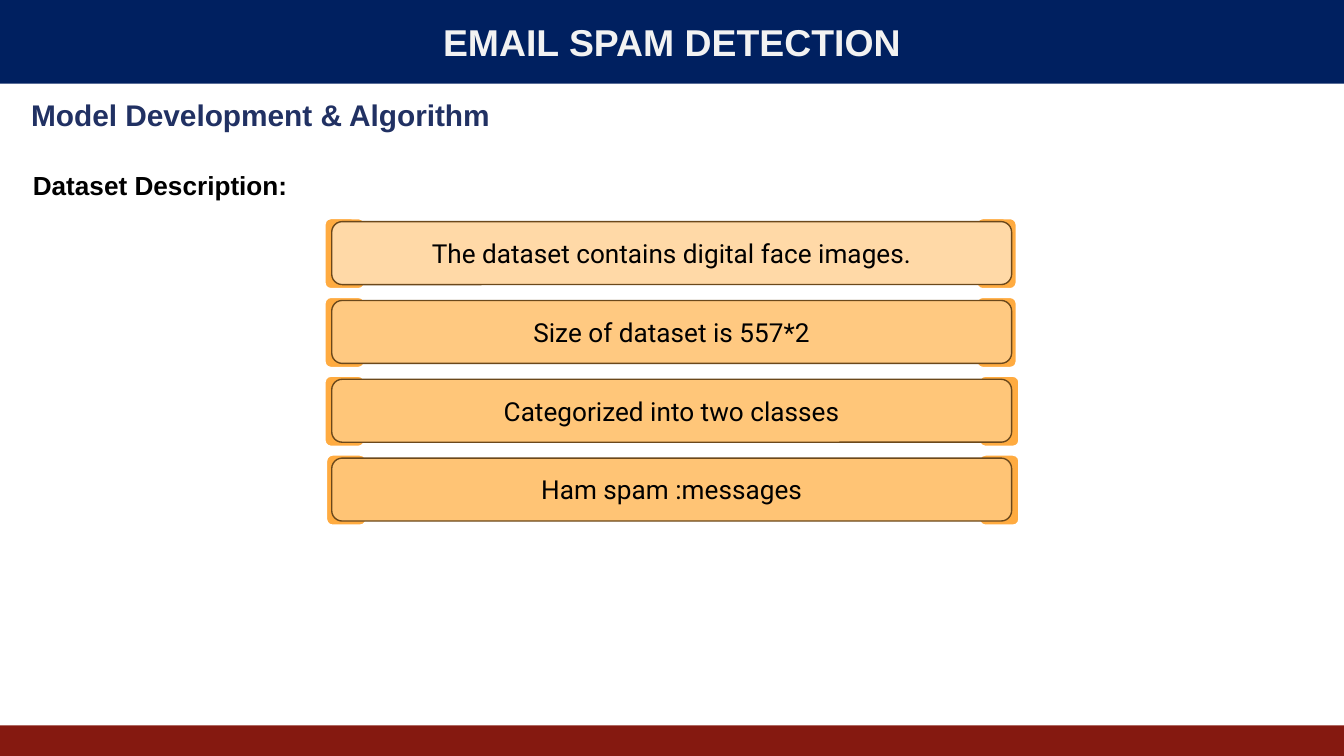
"""Build the dataset description slide of an email spam detection deck."""
from dataclasses import dataclass

from pptx import Presentation
from pptx import util as u
from pptx.dml.color import RGBColor
from pptx.enum import shapes, text

WIDTH, HEIGHT = 25.4, 14.29
BAR_TOP, TAB_TOP, PITCH = 4.19, 4.11, 1.49


@dataclass
class Fact:
    """A bar with its wording, fill and the left edges of its two tabs."""
    words: str
    fill: str
    tabs: tuple[float, float]


FACTS = [
    Fact("The dataset contains digital face images.", "FFD9A7", (6.12, 18.44)),
    Fact("Size of dataset is 557*2", "FFC981", (6.12, 18.44)),
    Fact("Categorized into two classes", "FFC679", (6.12, 18.49)),
    Fact("Ham spam :messages", "FFC475", (6.15, 18.49)),
]


def rgb(value: str) -> RGBColor:
    """Turn a hex string into a colour."""
    return RGBColor.from_string(value)


def paint(sp, fill: str) -> None:
    """Give a shape a solid fill."""
    sp.fill.solid()
    sp.fill.fore_color.rgb = rgb(fill)


def add_box(s, kind, left: float, top: float, width: float, height: float,
            fill: str, line: str | None = None, weight: float = 0.75):
    """Add a flat filled shape, measured in centimetres."""
    sp = s.shapes.add_shape(kind, u.Cm(left), u.Cm(top), u.Cm(width), u.Cm(height))
    sp.shadow.inherit = False
    paint(sp, fill)
    if line:
        sp.line.color.rgb = rgb(line)
        sp.line.width = u.Pt(weight)
    else:
        sp.line.fill.background()
    return sp


def write(sp, words: str, *, size: float, color: str = "000000", font: str = "Arial",
          bold: bool = False, align=text.PP_ALIGN.CENTER,
          anchor=text.MSO_ANCHOR.MIDDLE, inset: float = 0.13, after: float = 0) -> None:
    """Write one formatted paragraph into a shape."""
    tf = sp.text_frame
    tf.word_wrap = True
    tf.auto_size = text.MSO_AUTO_SIZE.NONE
    tf.vertical_anchor = anchor
    tf.margin_left = tf.margin_right = u.Cm(0.25)
    tf.margin_top = tf.margin_bottom = u.Cm(inset)
    p = tf.paragraphs[0]
    p.alignment = align
    p.space_after = u.Pt(after)
    r = p.add_run()
    r.text = words
    r.font.name, r.font.size, r.font.bold = font, u.Pt(size), bold
    r.font.color.rgb = rgb(color)


def add_heading(s, words: str, left: float, top: float, width: float,
                height: float, **style) -> None:
    """Add a bold left-aligned heading."""
    sp = s.shapes.add_textbox(u.Cm(left), u.Cm(top), u.Cm(width), u.Cm(height))
    write(sp, words, bold=True, align=text.PP_ALIGN.LEFT,
          anchor=text.MSO_ANCHOR.TOP, inset=0.25, **style)


def set_title(s, words: str) -> None:
    """Turn the title placeholder into the top banner."""
    sp = s.shapes.title
    sp.left, sp.top, sp.width, sp.height = u.Cm(0), u.Cm(0), u.Cm(WIDTH), u.Cm(1.58)
    paint(sp, "002060")
    write(sp, words, size=20, color="F2F2F2", bold=True)


def add_facts(s, facts: list[Fact]) -> None:
    """Stack the bars at an equal pitch, each in front of its tabs."""
    rounded = shapes.MSO_SHAPE.ROUNDED_RECTANGLE
    for i, fact in enumerate(facts):
        for left in fact.tabs:
            add_box(s, rounded, left, TAB_TOP + i * PITCH, 0.79, 1.37,
                    "FFAB40", "FFFFFF", 2)
    for i, fact in enumerate(facts):
        sp = add_box(s, rounded, 6.27, BAR_TOP + i * PITCH, 12.85, 1.19,
                     fact.fill, "6B481B")
        write(sp, fact.words, size=14, font="Roboto")


def main() -> None:
    """Build and save the slide."""
    prs = Presentation()
    prs.slide_width, prs.slide_height = u.Cm(WIDTH), u.Cm(HEIGHT)
    s = prs.slides.add_slide(prs.slide_layouts[5])
    set_title(s, "EMAIL SPAM DETECTION")
    add_box(s, shapes.MSO_SHAPE.RECTANGLE, 0, 13.71, WIDTH, 0.58, "851910")
    add_heading(s, "Model Development & Algorithm", 0.34, 1.58, 12.37, 1.19,
                size=16, color="213163")
    add_heading(s, "Dataset Description:", 0.37, 2.95, 12.19, 1.4, size=14, after=8)
    add_facts(s, FACTS)
    prs.save("out.pptx")


if __name__ == "__main__":
    main()
